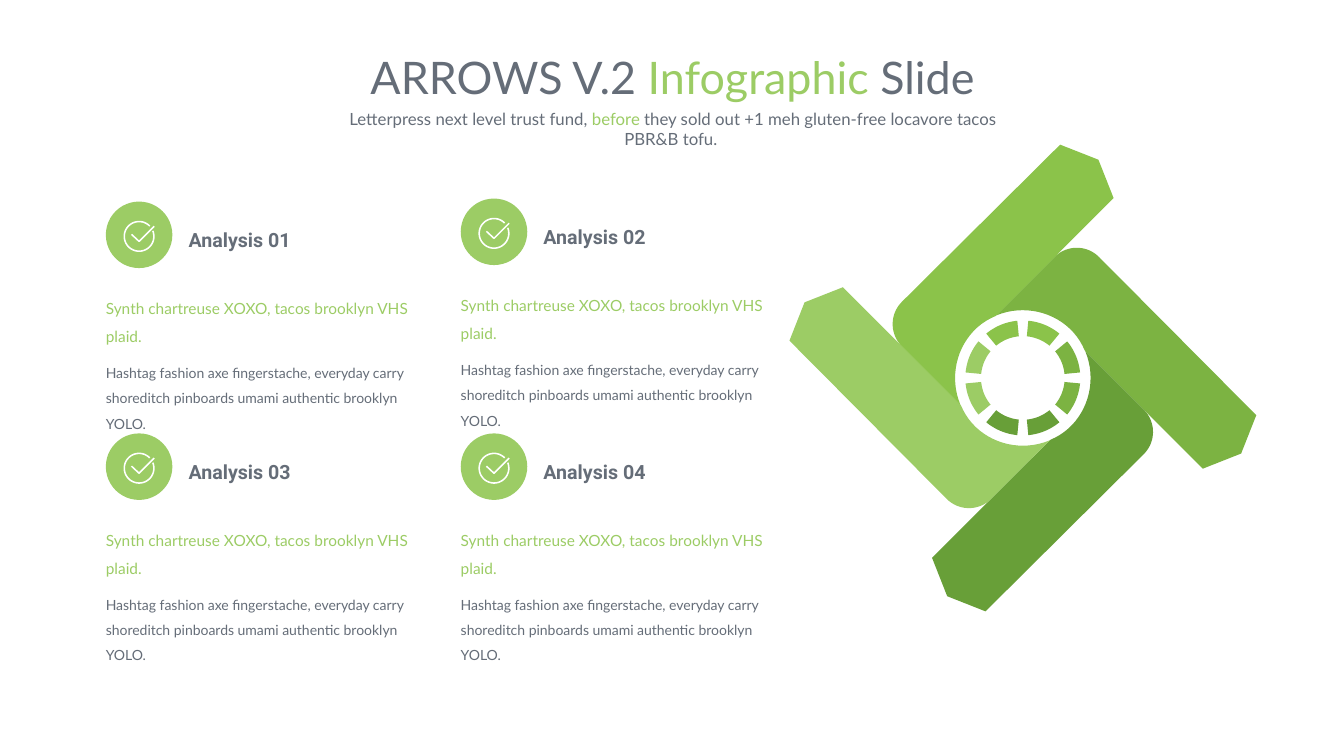
from math import cos, sin, radians

from pptx import Presentation
from pptx.dml.color import RGBColor
from pptx.enum.shapes import MSO_SHAPE
from pptx.enum.text import MSO_ANCHOR, PP_ALIGN
from pptx.util import Inches, Pt

COLORS = {
    "gray": "656D78",
    "light": "9CCC65",
    "lime": "8BC34A",
    "mid": "7CB342",
    "dark": "689F38",
    "white": "FFFFFF",
}
ARMS = ["mid", "dark", "light", "lime"]
HUB = (10.145, 3.75)
LEAD = "Synth chartreuse XOXO, tacos brooklyn VHS plaid."
BODY = ("Hashtag fashion axe fingerstache, everyday carry shoreditch "
        "pinboards umami authentic brooklyn YOLO.")


def rgb(name):
    return RGBColor.from_string(COLORS[name])


def write(para, text, color="gray", size=12, font="Lato", bold=False,
          align=PP_ALIGN.LEFT, lines=1.0, before=0):
    para.alignment = align
    para.line_spacing = lines
    para.space_before = Pt(before)
    run = para.add_run()
    run.text = text
    run.font.name = font
    run.font.size = Pt(size)
    run.font.bold = bold
    run.font.color.rgb = rgb(color)


def place(shape, left, top, width, height):
    shape.left, shape.top = Inches(left), Inches(top)
    shape.width, shape.height = Inches(width), Inches(height)


def box(shapes, left, top, width, height, inset=0, anchor=MSO_ANCHOR.TOP):
    shape = shapes.add_textbox(0, 0, 0, 0)
    place(shape, left, top, width, height)
    frame = shape.text_frame
    frame.word_wrap = True
    frame.vertical_anchor = anchor
    frame.margin_left = frame.margin_right = Inches(inset)
    frame.margin_top = frame.margin_bottom = Inches(inset / 2)
    return frame


def arc(center, radius, start, end, steps=24):
    angles = [radians(start + (end - start) * i / steps) for i in range(steps + 1)]
    return [(center[0] + radius * cos(a), center[1] + radius * sin(a)) for a in angles]


def curve(a, b, c, d, steps=20):
    points = []
    for i in range(steps + 1):
        t = i / steps
        u = 1 - t
        points.append(tuple(u**3 * p + 3 * u * u * t * q + 3 * u * t * t * r + t**3 * s
                            for p, q, r, s in zip(a, b, c, d)))
    return points


def outline(shapes, *paths, close=True):
    paths = [[(Inches(x), Inches(y)) for x, y in path] for path in paths]
    pen = shapes.build_freeform(*paths[0][0], scale=1.0)
    pen.add_line_segments(paths[0][1:], close=close)
    for path in paths[1:]:
        pen.move_to(*path[0])
        pen.add_line_segments(path[1:], close=close)
    shape = pen.convert_to_shape()
    shape.shadow.inherit = False
    return shape


def paint(shape, color):
    shape.fill.solid()
    shape.fill.fore_color.rgb = rgb(color)
    shape.line.fill.background()


def turn(point, count):
    x, y = point
    for _ in range(count):
        x, y = -y, x
    return HUB[0] + x, HUB[1] + y


def wheel(shapes):
    arm = [(2.315, 0.37), (2.165, 0.75), (1.785, 0.9)]
    arm += curve((0.615, -0.27), (0.475, -0.61), (0.075, -0.76), (-0.265, -0.62))
    arm += curve((0.325, -1.21), (0.445, -1.32), (0.635, -1.32), (0.755, -1.2))
    for i, color in enumerate(ARMS):
        paint(outline(shapes, [turn(point, i) for point in arm]), color)
    for i in range(8):
        start, end = 45 * i + 5.5, 45 * i + 39.5
        ring = arc(HUB, 0.57, start, end) + arc(HUB, 0.415, end, start)
        paint(outline(shapes, ring), ARMS[(i + 1) // 2 % 4])


def check(shapes, x, y):
    tick = [(x - 0.075, y - 0.02), (x, y + 0.05), (x + 0.15, y - 0.1)]
    shape = outline(shapes, arc((x, y), 0.147, -22, 316, 60), tick, close=False)
    shape.fill.background()
    shape.line.color.rgb = rgb("white")
    shape.line.width = Pt(1.1)


def card(shapes, title, left, top):
    disc = shapes.add_shape(MSO_SHAPE.ROUNDED_RECTANGLE, 0, 0, 0, 0)
    place(disc, left, top, 0.66, 0.66)
    disc.adjustments[0] = 0.5
    disc.shadow.inherit = False
    paint(disc, "light")
    check(shapes, left + 0.33, top + 0.345)
    head = box(shapes, left + 0.82, top + 0.2, 1.93, 0.28, anchor=MSO_ANCHOR.MIDDLE)
    write(head.paragraphs[0], title, size=14, font="Roboto", bold=True, lines=1.3)
    frame = box(shapes, left, top + 0.88, 3.1, 0.87)
    write(frame.paragraphs[0], LEAD, color="light", size=11, lines=1.5)
    write(frame.add_paragraph(), BODY, size=10, lines=1.5, before=7.5)


def heading(slide):
    title = slide.shapes.title
    place(title, 2.54, 0.44, 8.26, 0.64)
    title.text_frame.vertical_anchor = MSO_ANCHOR.TOP
    para = title.text_frame.paragraphs[0]
    for text, color in [("ARROWS V.2 ", "gray"), ("Infographic ", "light"), ("Slide", "gray")]:
        write(para, text, color=color, size=32, align=PP_ALIGN.CENTER)
    para = box(slide.shapes, 3.2, 1.03, 6.95, 0.3, inset=0.1).paragraphs[0]
    for text, color in [("Letterpress next level trust fund, ", "gray"), ("before", "light"),
                        (" they sold out +1 meh gluten-free locavore tacos PBR&B tofu. ", "gray")]:
        write(para, text, color=color, align=PP_ALIGN.CENTER)


def main():
    deck = Presentation()
    deck.slide_width, deck.slide_height = Inches(13.33), Inches(7.5)
    slide = deck.slides.add_slide(deck.slide_layouts[5])
    heading(slide)
    wheel(slide.shapes.add_group_shape().shapes)
    spots = [(1.05, 2), (4.57, 1.97), (1.05, 4.3), (4.57, 4.3)]
    for i, (left, top) in enumerate(spots, 1):
        card(slide.shapes.add_group_shape().shapes, f"Analysis {i:02}", left, top)
    deck.save("out.pptx")


if __name__ == "__main__":
    main()
